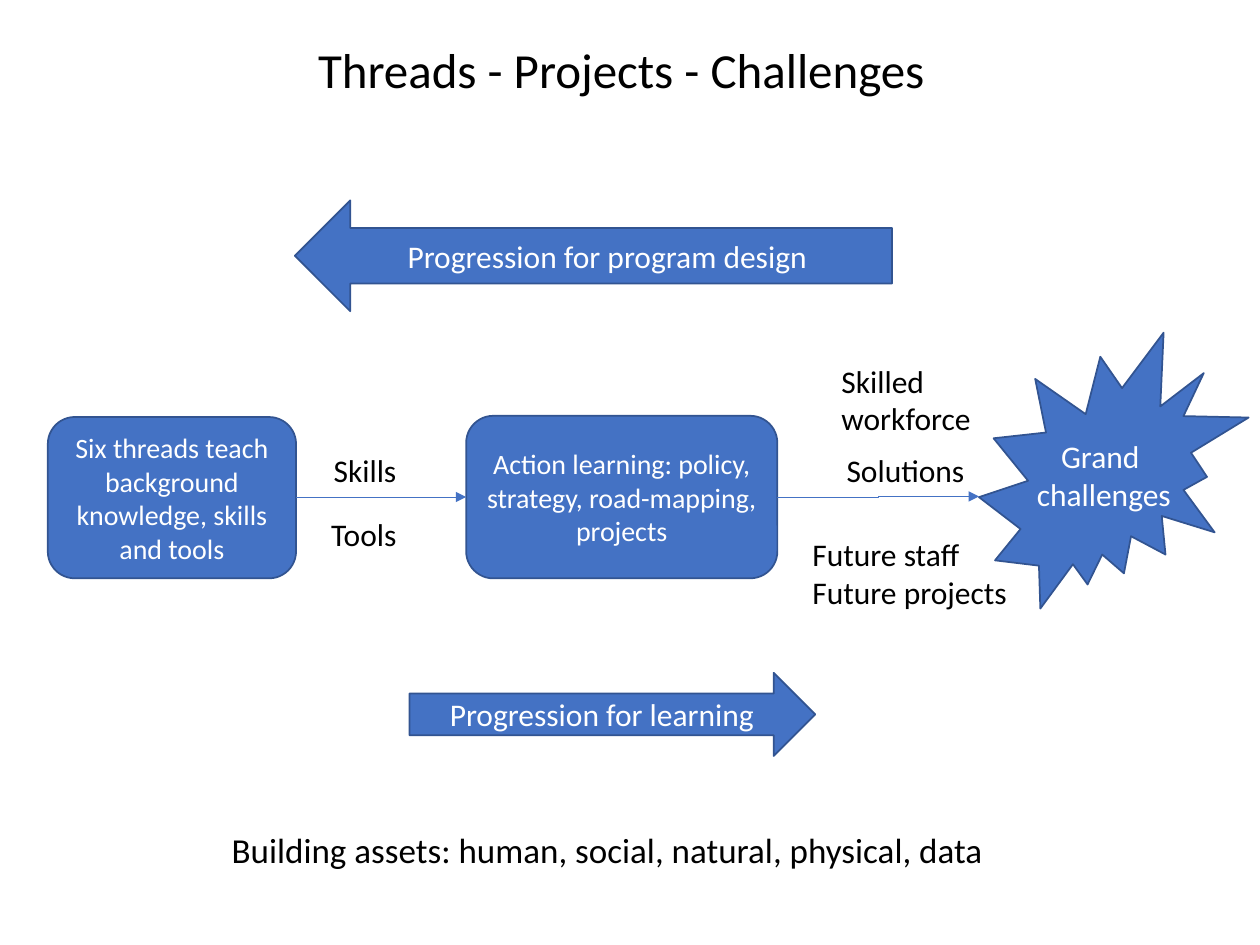
import pptx
import pptx.util
import pptx.dml.color
import pptx.enum.shapes
import pptx.enum.text
import pptx.oxml.ns
import lxml.etree

Inches = pptx.util.Inches
Pt = pptx.util.Pt
SHAPE = pptx.enum.shapes.MSO_SHAPE
ALIGN = pptx.enum.text.PP_ALIGN
ANCHOR = pptx.enum.text.MSO_ANCHOR
COLORS = {"fill": "4472C4", "edge": "325491", "light": "FFFFFF", "dark": "000000"}


def color(name):
    """Return the named palette colour."""
    return pptx.dml.color.RGBColor.from_string(COLORS[name])


def write(frame, text, size, ink, align):
    """Fill a text frame, one paragraph per line, in one style."""
    frame.text = text
    for paragraph in frame.paragraphs:
        paragraph.alignment = align
        paragraph.font.name = "Calibri"
        paragraph.font.size = Pt(size)
        paragraph.font.color.rgb = color(ink)


def add_title(slide, box, text):
    """Place and style the slide title."""
    title = slide.shapes.title
    title.left, title.top, title.width, title.height = map(Inches, box)
    write(title.text_frame, text, 28, "dark", ALIGN.CENTER)
    title.text_frame.vertical_anchor = ANCHOR.MIDDLE
    title.text_frame.paragraphs[0].line_spacing = 0.9


def add_block(slide, kind, box, text, size=18, wrap=True):
    """Add a filled shape with centred text."""
    block = slide.shapes.add_shape(kind, *map(Inches, box))
    block.shadow.inherit = False
    block.fill.solid()
    block.fill.fore_color.rgb = color("fill")
    block.line.color.rgb = color("edge")
    block.line.width = Pt(1)
    write(block.text_frame, text, size, "light", ALIGN.CENTER)
    block.text_frame.vertical_anchor = ANCHOR.MIDDLE
    block.text_frame.word_wrap = wrap
    return block


def add_label(slide, box, text, size=18):
    """Add an unwrapped label that fits its text."""
    frame = slide.shapes.add_textbox(*map(Inches, box)).text_frame
    write(frame, text, size, "dark", ALIGN.LEFT)
    frame.word_wrap = False
    frame.auto_size = pptx.enum.text.MSO_AUTO_SIZE.SHAPE_TO_FIT_TEXT


def add_flow(slide, source, end, target=None):
    """Add an elbow arrow from the right side of a block."""
    flow = slide.shapes.add_connector(
        pptx.enum.shapes.MSO_CONNECTOR.ELBOW, 0, 0, *map(Inches, end))
    flow.begin_connect(source, 3)
    if target is not None:
        flow.end_connect(target, 1)
    flow.line.color.rgb = color("fill")
    flow.line.width = Pt(0.5)
    qn = pptx.oxml.ns.qn
    lxml.etree.SubElement(flow.line._get_or_add_ln(), qn("a:tailEnd"), type="triangle")
    lxml.etree.SubElement(flow._element.spPr, qn("a:effectLst"))


def build_slide(deck):
    """Build the slide of threads, projects and challenges."""
    slide = deck.slides.add_slide(deck.slide_layouts[5])
    add_title(slide, (0.62, 0.3, 8.62, 0.55), "Threads - Projects - Challenges")

    projects = add_block(slide, SHAPE.ROUNDED_RECTANGLE, (3.7, 3.3, 2.47, 1.29),
                         "Action learning: policy, strategy, road-mapping, projects", 16)
    threads = add_block(slide, SHAPE.ROUNDED_RECTANGLE, (0.38, 3.31, 1.97, 1.28),
                        "Six threads teach background knowledge, skills and tools", 16)
    add_block(slide, SHAPE.EXPLOSION2, (7.77, 2.64, 2.14, 2.19),
              "Grand \nchallenges", wrap=False)
    add_flow(slide, projects, (7.77, 3.94))
    add_flow(slide, threads, (3.7, 3.94), projects)

    add_block(slide, SHAPE.RIGHT_ARROW, (3.25, 5.34, 3.22, 0.66), "Progression for learning")
    add_block(slide, SHAPE.LEFT_ARROW, (2.34, 1.59, 4.74, 0.88),
              "Progression for program design")

    for box, text in (
        ((6.62, 3.53, 1.15, 0.4), "Solutions"),
        ((6.58, 2.82, 1.24, 0.71), "Skilled\nworkforce"),
        ((2.55, 3.53, 0.7, 0.4), "Skills"),
        ((2.53, 4.04, 0.72, 0.4), "Tools"),
        ((6.35, 4.2, 1.76, 0.71), "Future staff\nFuture projects"),
    ):
        add_label(slide, box, text)
    add_label(slide, (1.74, 6.53, 6.22, 0.44),
              "Building assets: human, social, natural, physical, data", 20)


deck = pptx.Presentation()
deck.slide_width, deck.slide_height = Inches(10), Inches(7.5)
build_slide(deck)
deck.save("out.pptx")
